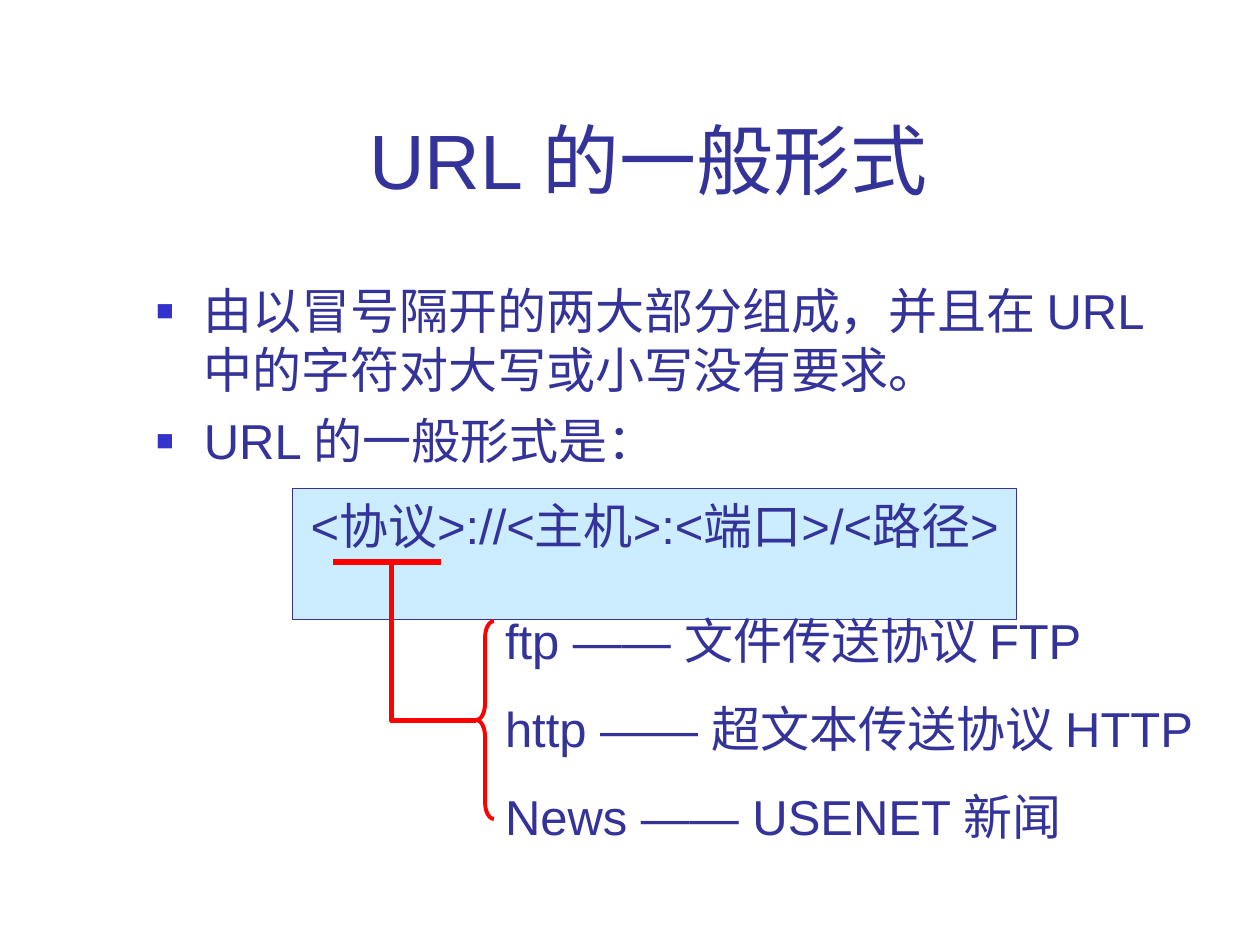
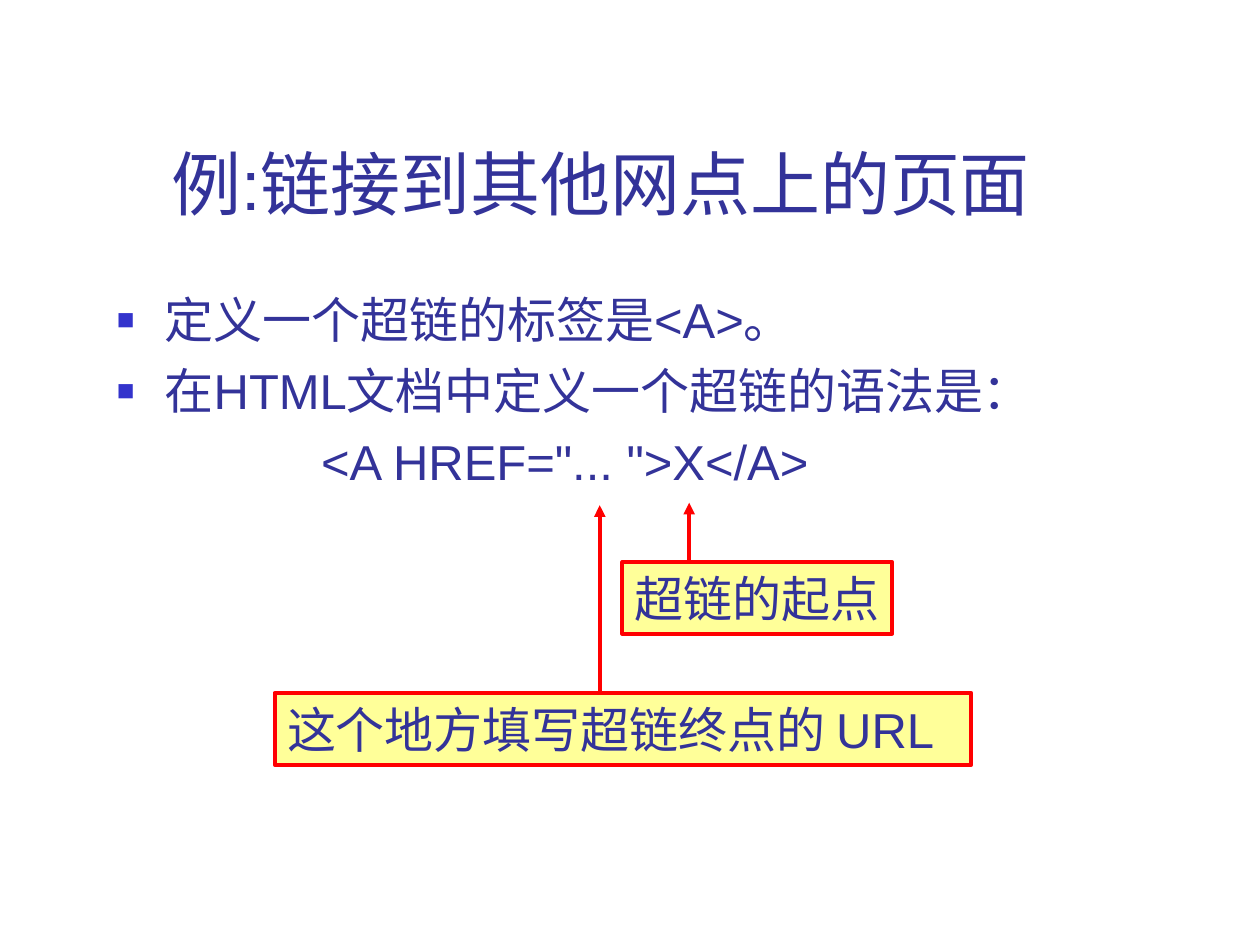
from lxml.etree import SubElement
from pptx import Presentation
from pptx.dml.color import RGBColor
from pptx.enum.shapes import MSO_CONNECTOR as Connector, MSO_SHAPE as Shape
from pptx.enum.text import MSO_ANCHOR as Anchor, MSO_AUTO_SIZE as AutoSize, PP_ALIGN as Align
from pptx.oxml.ns import qn
from pptx.util import Inches, Pt

COLORS = {"text": "333399", "bullet": "3333CC", "red": "FF0000",
          "sky": "CCECFF", "yellow": "FFFF99"}
FONT = "Arial"
BODY_SIZE = 28
HANG = 0.38

FORM_TITLE = "URL 的一般形式 "
FORM_POINTS = ["由以冒号隔开的两大部分组成，并且在 URL 中的字符对大写或小写没有要求。",
               "URL 的一般形式是："]
URL_PATTERN = "<协议>://<主机>:<端口>/<路径> "
PROTOCOLS = ["ftp —— 文件传送协议 FTP", "http —— 超文本传送协议 HTTP", "News —— USENET 新闻"]

LINK_TITLE = "例:链接到其他网点上的页面"
LINK_POINTS = ["定义一个超链的标签是<A>。", "在HTML文档中定义一个超链的语法是："]
LINK_CODE = '<A HREF="... ">X</A>'
CODE_INDENT = 1.62
LABELS = [
    {"text": "超链的起点", "font": "Lato", "box": (4.94, 4.46, 2.14, 0.57), "arrow": (5.47, 3.99)},
    {"text": "这个地方填写超链终点的 URL", "font": FONT, "box": (2.18, 5.5, 5.53, 0.57),
     "arrow": (4.76, 4.01)},
]


def color(name):
    return RGBColor.from_string(COLORS[name])


def inches(values):
    return [Inches(value) for value in values]


def style_line(line, name, width):
    line.color.rgb = color(name)
    line.width = Pt(width)


def write(frame, lines, size=BODY_SIZE, font=FONT, align=Align.LEFT):
    frame.word_wrap = True
    frame.text = "\n".join(lines)
    for para in frame.paragraphs:
        para.alignment = align
        for span in para.runs:
            span.font.size = Pt(size)
            span.font.name = font
            span.font.color.rgb = color("text")
    return frame.paragraphs


def add_page(deck, title, box, size, align):
    page = deck.slides.add_slide(deck.slide_layouts[5])
    holder = page.shapes.title
    holder.left, holder.top, holder.width, holder.height = inches(box)
    write(holder.text_frame, [title], size, align=align)
    holder.text_frame.vertical_anchor = Anchor.BOTTOM
    holder.text_frame.auto_size = AutoSize.NONE
    return page


def add_bullet(para):
    props = para._p.get_or_add_pPr()
    props.set("marL", str(Inches(HANG)))
    props.set("indent", str(-Inches(HANG)))
    tint = SubElement(props, qn("a:buClr"))
    SubElement(tint, qn("a:srgbClr"), val=COLORS["bullet"])
    SubElement(props, qn("a:buSzPct"), val="60000")
    SubElement(props, qn("a:buFont"), typeface=FONT)
    SubElement(props, qn("a:buChar"), char="■")


def add_body(page, box, points, align, code=None):
    frame = page.shapes.add_textbox(*inches(box)).text_frame
    paras = write(frame, points + ([code] if code else []), align=align)
    for para in paras[:len(points)]:
        add_bullet(para)
    for para in paras[1:]:
        para.space_before = Pt(7)
    if code:
        paras[-1]._p.get_or_add_pPr().set("marL", str(Inches(CODE_INDENT)))


def add_panel(page, box, text, fill, edge, width, font=FONT, align=Align.LEFT):
    panel = page.shapes.add_shape(Shape.RECTANGLE, *inches(box))
    panel.shadow.inherit = False
    panel.fill.solid()
    panel.fill.fore_color.rgb = color(fill)
    style_line(panel.line, edge, width)
    write(panel.text_frame, [text], font=font, align=align)
    panel.text_frame.vertical_anchor = Anchor.TOP
    return panel


def add_line(page, start, end, width, arrow=False):
    line = page.shapes.add_connector(Connector.STRAIGHT, *inches(start + end))
    style_line(line.line, "red", width)
    if arrow:
        SubElement(line.line._get_or_add_ln(), qn("a:tailEnd"), type="triangle")
    SubElement(line._element.spPr, qn("a:effectLst"))


def outline_only(shape, width):
    shape.shadow.inherit = False
    shape.fill.background()
    style_line(shape.line, "red", width)


def build_form_page(deck):
    page = add_page(deck, FORM_TITLE, (1.26, 0.76, 7.91, 0.92), 44, Align.CENTER)
    add_body(page, (1.14, 2.18, 8.5, 2.12), FORM_POINTS, Align.LEFT)
    add_panel(page, (2.32, 3.88, 5.75, 1.04), URL_PATTERN, "sky", "text", 0.75,
              align=Align.CENTER)

    stem, underline, brace_left, middle = 3.11, 4.46, 3.78, 5.72
    add_line(page, (2.64, underline), (3.5, underline), 3)
    builder = page.shapes.build_freeform(Inches(stem), Inches(underline))
    builder.add_line_segments([inches((stem, middle)), inches((brace_left, middle))], close=False)
    outline_only(builder.convert_to_shape(), 3)
    brace = page.shapes.add_shape(Shape.LEFT_BRACE, *inches((brace_left, 4.93, 0.14, 1.57)))
    brace.adjustments[0] = 0.93
    outline_only(brace, 2.25)

    names = page.shapes.add_textbox(*inches((3.91, 4.56, 5.95, 2.2))).text_frame
    for para in write(names, PROTOCOLS):
        para.line_spacing = 1.5


def build_link_page(deck):
    page = add_page(deck, LINK_TITLE, (1.26, 0.23, 8.52, 1.6), 40, Align.LEFT)
    add_body(page, (0.83, 2.25, 8.9, 2.37), LINK_POINTS, Align.JUSTIFY, LINK_CODE)
    for label in LABELS:
        tip_x, tip_y = label["arrow"]
        add_line(page, (tip_x, label["box"][1]), (tip_x, tip_y), 2.25, arrow=True)
        panel = add_panel(page, label["box"], label["text"], "yellow", "red", 2.25, label["font"])
        panel.text_frame.margin_right = 0


def main():
    deck = Presentation()
    deck.slide_width, deck.slide_height = Inches(10), Inches(7.5)
    build_form_page(deck)
    build_link_page(deck)
    deck.save("out.pptx")


if __name__ == "__main__":
    main()
